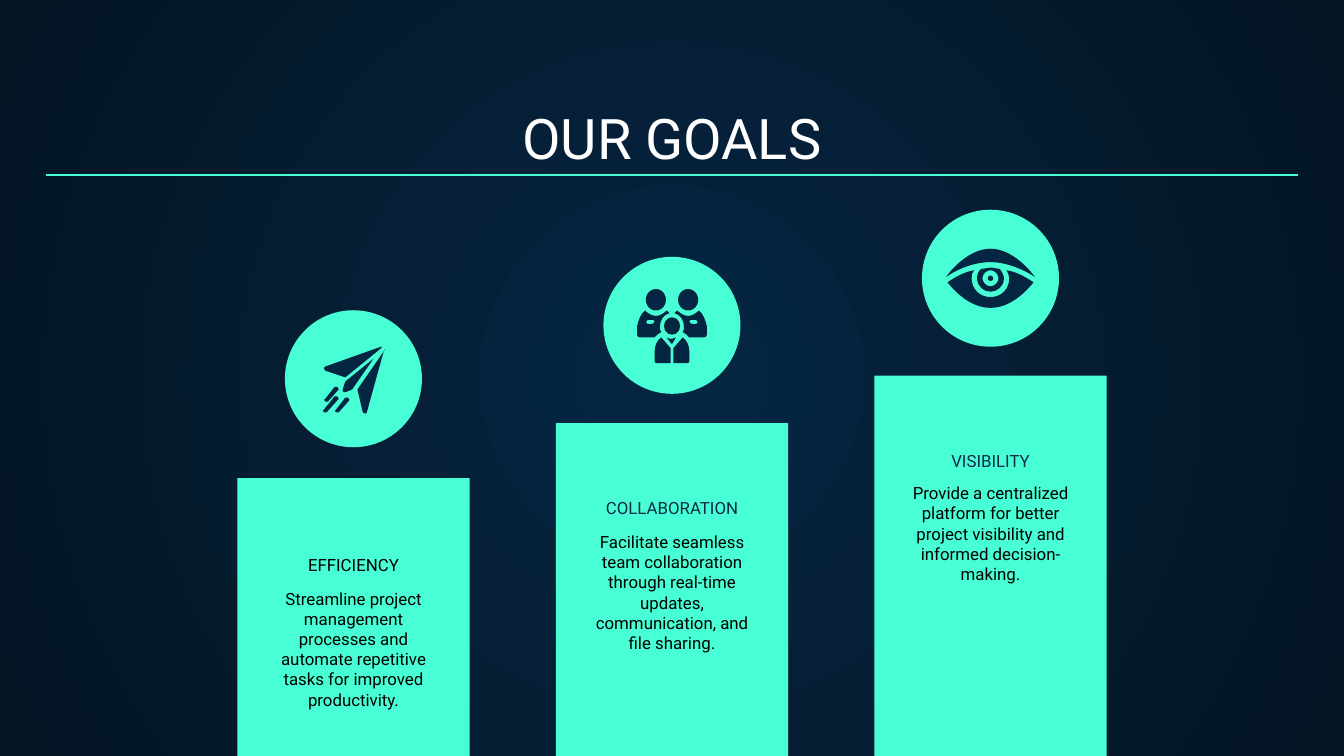
from lxml.etree import SubElement
from pptx import Presentation
from pptx.dml.color import RGBColor
from pptx.enum.shapes import MSO_CONNECTOR as Connector, MSO_SHAPE as Preset
from pptx.enum.text import MSO_ANCHOR as Anchor, MSO_AUTO_SIZE as AutoSize, PP_ALIGN as Align
from pptx.oxml.ns import qn
from pptx.util import Cm, Pt

TEAL = RGBColor(0x48, 0xFF, 0xD5)
NAVY = RGBColor(0x05, 0x26, 0x43)
MIDNIGHT = RGBColor(0x04, 0x15, 0x23)
SLATE = RGBColor(0x0E, 0x2A, 0x47)
WHITE = RGBColor(0xFF, 0xFF, 0xFF)
BLACK = RGBColor(0x00, 0x00, 0x00)

ICON_UNIT = Cm(0.0254)
CARD_WIDTH = 4.39
CARD_BOTTOM = 14.38
CIRCLE_SIZE = 2.59


def format_text(shape, text, size, color, anchor):
    frame = shape.text_frame
    frame.text = text
    frame.word_wrap = True
    frame.auto_size = AutoSize.NONE
    frame.vertical_anchor = anchor
    frame.margin_left = frame.margin_right = Cm(0.25)
    frame.margin_top = frame.margin_bottom = Cm(0.25)
    paragraph = frame.paragraphs[0]
    paragraph.alignment = Align.CENTER
    font = paragraph.runs[0].font
    font.name, font.size, font.color.rgb = "Roboto", Pt(size), color


def draw_outline(group, center, contours, mirror=1):
    placed = [[[(center[0] + mirror * step[i] * ICON_UNIT, center[1] + step[i + 1] * ICON_UNIT)
                for i in range(0, len(step), 2)] for step in contour] for contour in contours]
    builder = group.shapes.build_freeform(*placed[0][0][0])
    for contour in placed:
        if contour is not placed[0]:
            builder.move_to(*contour[0][0])
        builder.add_line_segments([step[-1] for step in contour[1:]], close=True)
    shape = builder.convert_to_shape()
    segments = list(shape.element.iter(qn("a:lnTo")))
    steps = [step for contour in placed for step in contour[1:]]
    for segment, step in zip(segments, steps):
        if len(step) == 3:
            segment.tag = qn("a:cubicBezTo")
            for position, (x, y) in enumerate(step[:2]):
                control = SubElement(segment, qn("a:pt"))
                control.set("x", str(round(x - shape.left)))
                control.set("y", str(round(y - shape.top)))
                segment.insert(position, control)
    shape.shadow.inherit = False
    shape.fill.solid()
    shape.fill.fore_color.rgb = NAVY
    shape.line.fill.background()


PLANE = [
    [(21, -24), (-21, -9), (-22, -9, -22, -9, -22, -8), (-22, -7, -22, -7, -21, -6), (-6, -1), (21, -23)],
    [(15, -15), (-6, 2), (-8, 8), (-8, 9, -8, 10, -7, 10), (-6, 10), (-1, 8)],
    [(23, -22), (23, -21), (3, 8), (7, 25), (8, 26, 8, 26, 9, 26), (9, 26, 10, 26, 10, 25)],
]
for x, y, length in [(-12, 6, 9), (-4, 14, 9), (-12, 13, 10)]:
    PLANE.append([
        (x, y), (x - 1, y, x - 1, y, x - 2, y), (x - length, y + length),
        (x - length - 1, y + length, x - length - 1, y + length + 1, x - length, y + length + 2),
        (x - length, y + length + 2, x - length + 1, y + length + 2, x - length + 2, y + length + 2),
        (x + 1, y + 2), (x + 1, y + 2, x + 1, y + 1, x, y),
    ])

COLLAR = [(-4, 9), (0, 14), (3, 9), (2, 10, 1, 10, 0, 10), (-1, 10, -3, 10, -4, 9)]
FRONT_HALF = [(8, 9), (1, 17), (1, 28), (12, 28), (13, 28, 13, 28, 13, 27), (13, 20), (13, 15, 11, 11, 8, 9)]
SHOULDER = [
    (20, -11), (18, -9, 15, -7, 12, -7), (9, -7, 6, -9, 4, -11), (3, -10, 2, -10, 2, -9),
    (6, -8, 9, -4, 9, 1), (9, 2, 9, 4, 8, 5), (10, 6, 11, 7, 13, 9), (24, 9),
    (25, 9, 26, 8, 26, 7), (26, 1), (25, -4, 23, -9, 20, -11),
]
BADGE = [(18, -4), (19, -4, 19, -4, 19, -3), (19, -2, 19, -1, 18, -1), (15, -1),
         (14, -1, 13, -2, 13, -3), (13, -4, 14, -4, 15, -4)]

UPPER_LID = [(0, -22), (-17, -22, -31, -4, -33, -1), (-26, -6, -13, -12, 0, -12),
             (11, -12, 24, -7, 33, -1), (31, -4, 17, -22, 0, -22)]
IRIS = [(0, -8), (-2, -8, -4, -7, -7, -7), (-9, -5, -10, -3, -10, 0), (-10, 6, -5, 10, 0, 10),
        (5, 10, 10, 6, 10, 0), (10, -3, 8, -5, 7, -7), (5, -7, 2, -8, 0, -8)]
IRIS_HOLE = [(0, -6), (3, -6, 6, -3, 6, 0), (6, 3, 3, 6, 0, 6), (-3, 6, -6, 3, -6, 0), (-6, -3, -3, -6, 0, -6)]
EYE_WHITE = [(-12, -6), (-19, -5, -26, -1, -32, 3), (-28, 8, -16, 22, 0, 22), (16, 22, 28, 8, 32, 3),
             (26, -1, 19, -5, 12, -6), (13, -4, 14, -2, 14, 0), (14, 8, 8, 14, 0, 14),
             (-8, 14, -14, 8, -14, 0), (-14, -2, -14, -4, -12, -6)]

GOALS = [
    ("EFFICIENCY", "Streamline project management processes and automate repetitive tasks for improved productivity.",
     BLACK, 9.04, 7.16, 10.59, 10.87, [[contour] for contour in PLANE], [], []),
    ("COLLABORATION", "Facilitate seamless team collaboration through real-time updates, communication, and file sharing.",
     SLATE, 8.0, 6.15, 9.51, 9.8, [[COLLAR]], [[FRONT_HALF], [SHOULDER, BADGE]],
     [(0, 0.5, 12, 13), (-12, -19, 15, 16), (12, -19, 15, 16)]),
    ("VISIBILITY", "Provide a centralized platform for better project visibility and informed decision-making.",
     SLATE, 7.1, 5.26, 8.62, 8.88, [[UPPER_LID], [IRIS, IRIS_HOLE], [EYE_WHITE]], [], [(0, 0, 4, 4)]),
]

presentation = Presentation()
presentation.slide_width, presentation.slide_height = Cm(25.4), Cm(14.29)
slide = presentation.slides.add_slide(presentation.slide_layouts[5])

background = slide.background.fill
background.gradient()
for stop, color in zip(background.gradient_stops, (NAVY, MIDNIGHT)):
    stop.color.rgb = color
gradient = next(slide.element.iter(qn("a:gradFill")))
for linear in gradient.findall(qn("a:lin")):
    gradient.remove(linear)
radial = SubElement(gradient, qn("a:path"))
radial.set("path", "circle")
focus = SubElement(radial, qn("a:fillToRect"))
for side in "ltrb":
    focus.set(side, "50000")

title = slide.shapes.title
title.left, title.top, title.width, title.height = Cm(0.86), Cm(1.79), Cm(23.68), Cm(1.68)
format_text(title, "OUR GOALS", 30, WHITE, Anchor.BOTTOM)

rule = slide.shapes.add_connector(Connector.STRAIGHT, Cm(0.86), Cm(3.31), Cm(24.54), Cm(3.31))
rule.line.color.rgb = TEAL
rule.line.width = Pt(0.75)
SubElement(rule.element.spPr, qn("a:effectLst"))

for index, goal in enumerate(GOALS):
    (heading, description, heading_color, card_top, circle_y, heading_top, body_top,
     outlines, mirrored_outlines, ovals) = goal
    middle = 6.68 + 6.02 * index
    center = (Cm(middle), Cm(circle_y))

    card = slide.shapes.add_shape(Preset.RECTANGLE, Cm(middle - CARD_WIDTH / 2), Cm(card_top),
                                  Cm(CARD_WIDTH), Cm(CARD_BOTTOM - card_top))
    group = slide.shapes.add_group_shape()
    circle = group.shapes.add_shape(Preset.OVAL, Cm(middle - CIRCLE_SIZE / 2), Cm(circle_y - CIRCLE_SIZE / 2),
                                    Cm(CIRCLE_SIZE), Cm(CIRCLE_SIZE))
    filled_shapes = [(card, TEAL), (circle, TEAL)]
    for x, y, width, height in ovals:
        oval = group.shapes.add_shape(
            Preset.OVAL, int(center[0] + (x - width / 2) * ICON_UNIT), int(center[1] + (y - height / 2) * ICON_UNIT),
            width * ICON_UNIT, height * ICON_UNIT)
        filled_shapes.append((oval, NAVY))
    for shape, color in filled_shapes:
        shape.shadow.inherit = False
        shape.fill.solid()
        shape.fill.fore_color.rgb = color
        shape.line.fill.background()

    for outline in outlines:
        draw_outline(group, center, outline)
    for outline in mirrored_outlines:
        for mirror in (-1, 1):
            draw_outline(group, center, outline, mirror)

    for text, color, top, width, height, anchor in [
        (heading, heading_color, heading_top, 5.77, 0.53, Anchor.BOTTOM),
        (description, BLACK, body_top, 3.86, 1.4, Anchor.TOP),
    ]:
        box = slide.shapes.add_textbox(Cm(middle - width / 2), Cm(top), Cm(width), Cm(height))
        format_text(box, text, 9, color, anchor)

presentation.save("out.pptx")
